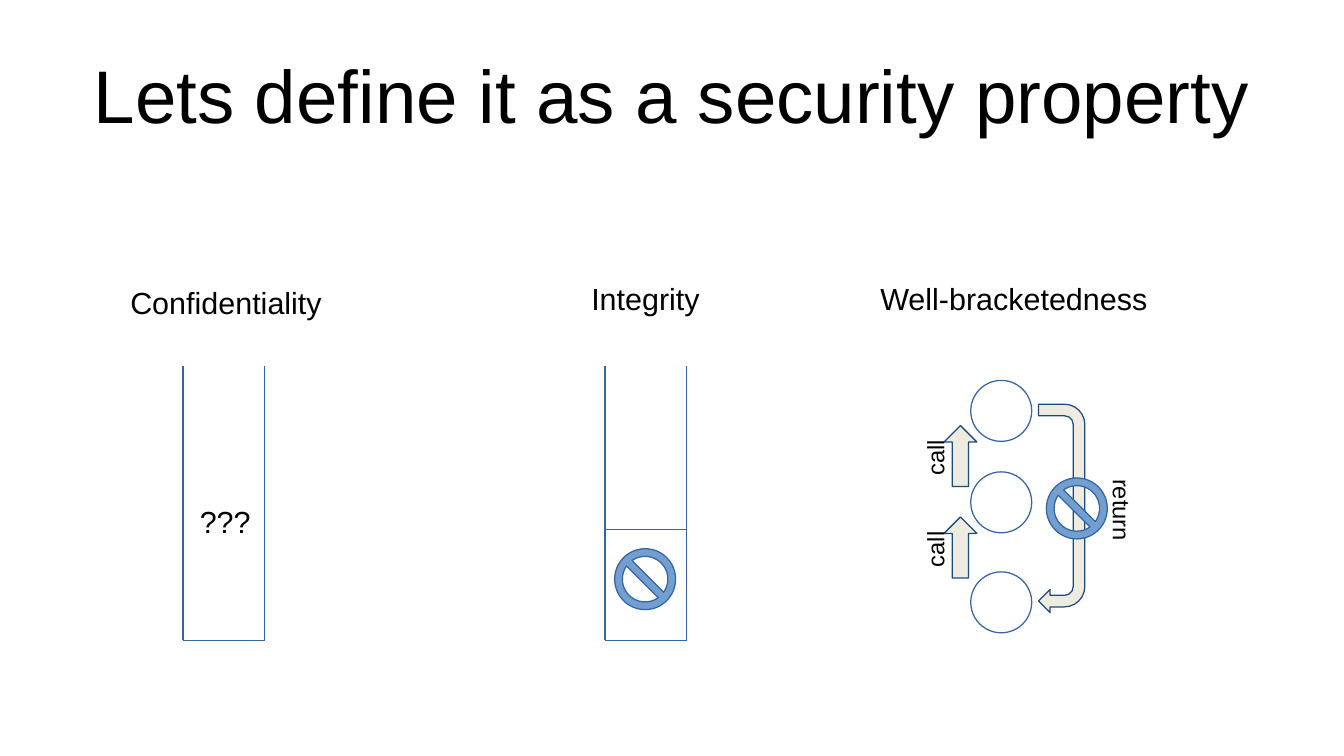
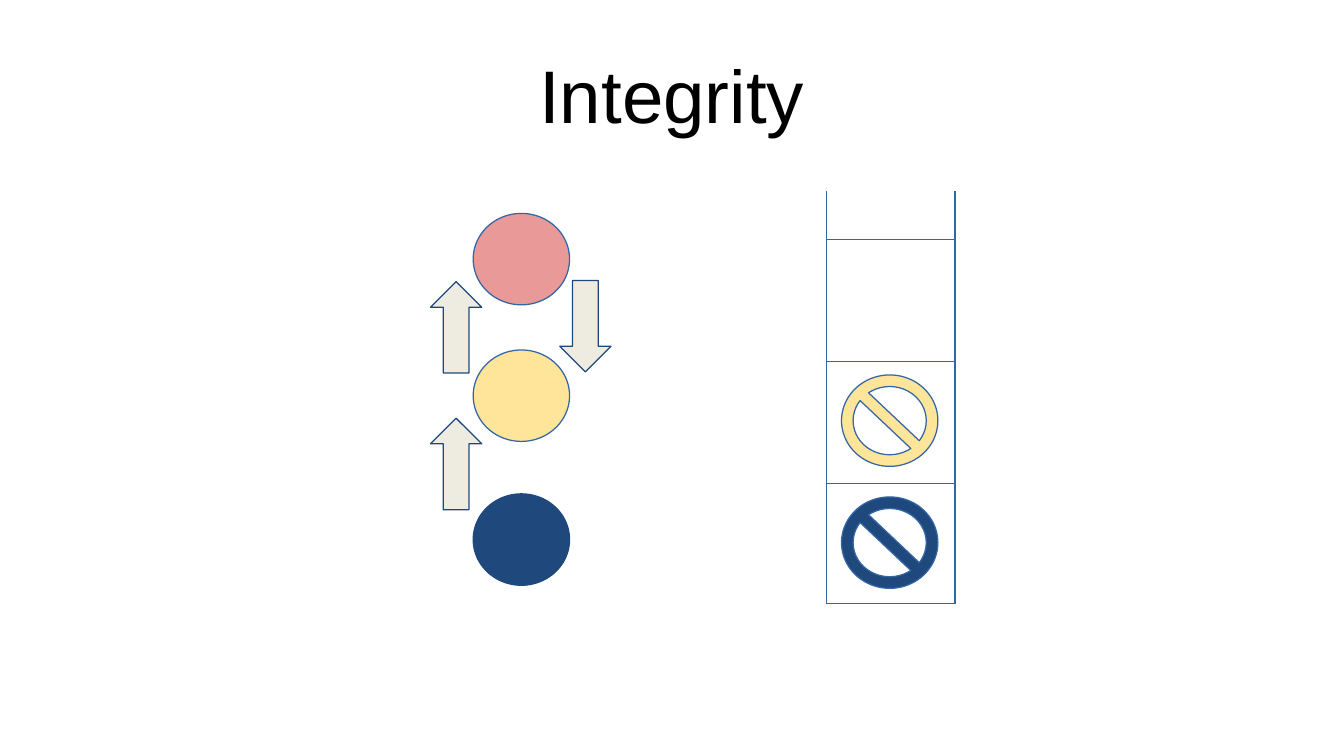
from lxml import etree
from pptx import Presentation
from pptx.dml.color import RGBColor
from pptx.enum import shapes, text
from pptx.oxml import ns
from pptx.util import Inches, Pt

COLORS = {"ink": "000000", "outline": "3465A4", "navy": "1F497D", "cream": "EEECE1",
          "ban": "729FCF", "yellow": "FFE599", "red": "EA9999"}
FONT = "Arial"
KIND = shapes.MSO_SHAPE

# Slide 1: sizes in inches
OVERVIEW_TITLE = "Lets define it as a security property"
HEADINGS = [("Confidentiality", 0.97, 2.28, 1.83), ("Integrity", 4.75, 2.25, 1.16),
            ("Well-bracketedness", 7.12, 2.25, 2.47)]
SMALL_STACKS = [(1.5, []), (4.96, [4.345])]  # left edge, frame dividers
SMALL_STACK = (3, 5.25, 0.67)  # top, bottom, width
DOT = 0.5
DOT_LEFT, DOT_TOPS = 7.96, [3.12, 3.87, 4.69]
CALL_TOPS = [3.49, 4.24]

# Slide 2
INTEGRITY_TITLE = "Integrity"
STACK_LEFT, STACK_TOP, STACK_BOTTOM, STACK_WIDTH = 6.78, 1.57, 4.95, 1.05
FIRST_DIVIDER, FRAME_HEIGHT = 1.965, 1
BALL = (0.79, 0.75)
BALL_LEFT = 3.88
BALLS = [("red", "outline", 1.75), ("yellow", "outline", 2.87), ("navy", "navy", 4.05)]
BANS = ["yellow", "navy"]
ARROWS = [(KIND.UP_ARROW, 3.53, 2.31), (KIND.UP_ARROW, 3.53, 3.43),
          (KIND.DOWN_ARROW, 4.59, 2.3)]


def rgb(name):
    """Return the named palette colour."""
    return RGBColor.from_string(COLORS[name])


def add_text(page, words, left, top, width, height, size=18, rotation=0, inset=0.05):
    """Add a one-line text box and return it."""
    box = page.shapes.add_textbox(*map(Inches, (left, top, width, height)))
    box.rotation = rotation
    frame = box.text_frame
    frame.text = words
    frame.word_wrap = not rotation
    frame.margin_top = frame.margin_bottom = Inches(inset)
    font = frame.paragraphs[0].runs[0].font
    font.name, font.size = FONT, Pt(size)
    font.color.rgb = rgb("ink")
    return box


def add_page(deck, title):
    """Add a blank slide with the shared centred title."""
    page = deck.slides.add_slide(deck.slide_layouts[6])
    frame = add_text(page, title, 0.55, 0.25, 9.92, 1.04, size=44, inset=0).text_frame
    frame.margin_left = frame.margin_right = 0
    frame.vertical_anchor = text.MSO_ANCHOR.MIDDLE
    frame.paragraphs[0].alignment = text.PP_ALIGN.CENTER
    return page


def add_figure(page, kind, left, top, width, height, fill=None, line="outline",
               adjustments=(), rotation=0):
    """Add a thinly outlined preset shape, hollow unless a fill is named."""
    figure = page.shapes.add_shape(kind, *map(Inches, (left, top, width, height)))
    figure.shadow.inherit = False
    figure.rotation = rotation
    for index, value in enumerate(adjustments):
        figure.adjustments[index] = value
    if fill:
        figure.fill.solid()
        figure.fill.fore_color.rgb = rgb(fill)
    else:
        figure.fill.background()
    figure.line.color.rgb = rgb(line)
    figure.line.width = Pt(0.75)


def add_arrow(page, kind, left, top, width, height, **options):
    """Add a cream block arrow with a navy edge."""
    add_figure(page, kind, left, top, width, height, "cream", "navy", **options)


def add_ban(page, left, top, width, height, fill):
    """Add a no-entry sign."""
    add_figure(page, KIND.NO_SYMBOL, left, top, width, height, fill, adjustments=[0.127])


def add_line(page, x1, y1, x2, y2):
    """Add a thin straight line."""
    line = page.shapes.add_connector(shapes.MSO_CONNECTOR.STRAIGHT,
                                     *map(Inches, (x1, y1, x2, y2)))
    line.line.color.rgb = rgb("outline")
    line.line.width = Pt(0.75)
    etree.SubElement(line._element.spPr, ns.qn("a:effectLst"))


def add_stack(page, left, top, bottom, width, dividers):
    """Draw a stack open at the top, with its frame dividers."""
    right = left + width
    for x in (left, right):
        add_line(page, x, top, x, bottom)
    for y in (bottom, *dividers):
        add_line(page, left, y, right, y)


def build_overview(deck):
    """Build the slide of the three security properties."""
    page = add_page(deck, OVERVIEW_TITLE)
    for words, left, top, width in HEADINGS:
        add_text(page, words, left, top, width, 0.38)
    for left, dividers in SMALL_STACKS:
        add_stack(page, left, *SMALL_STACK, dividers)
    add_text(page, "???", 1.54, 4.08, 0.67, 0.38)
    add_ban(page, 5.04, 4.5, DOT, DOT, "ban")

    for top in DOT_TOPS:
        add_figure(page, KIND.OVAL, DOT_LEFT, top, DOT, DOT)
    for top in CALL_TOPS:
        add_arrow(page, KIND.UP_ARROW, 7.74, top, 0.27, DOT)
        add_text(page, "call", 7.42, top + 0.04, 0.5, 0.44, 14, 270, 0.1)
    add_arrow(page, KIND.U_TURN_ARROW, 7.85, 3.98, 1.71, 0.38, rotation=90,
              adjustments=[0.25, 0.25, 0.25, 0.44, 1])
    add_ban(page, 8.58, 3.92, DOT, DOT, "ban")
    add_text(page, "return", 8.84, 3.97, 0.72, 0.44, 14, 90, 0.1)


def build_integrity(deck):
    """Build the slide of calls beside the protected stack frames."""
    page = add_page(deck, INTEGRITY_TITLE)
    dividers = [FIRST_DIVIDER + FRAME_HEIGHT * step for step in range(3)]
    add_stack(page, STACK_LEFT, STACK_TOP, STACK_BOTTOM, STACK_WIDTH, dividers)
    for fill, divider in zip(BANS, dividers[1:]):
        add_ban(page, STACK_LEFT + 0.12, divider + 0.11, *BALL, fill)
    for fill, line, top in BALLS:
        add_figure(page, KIND.OVAL, BALL_LEFT, top, *BALL, fill, line)
    for kind, left, top in ARROWS:
        add_arrow(page, kind, left, top, 0.42, 0.75)


deck = Presentation()
deck.slide_width, deck.slide_height = Inches(11.02), Inches(6.2)
build_overview(deck)
build_integrity(deck)
deck.save("out.pptx")
